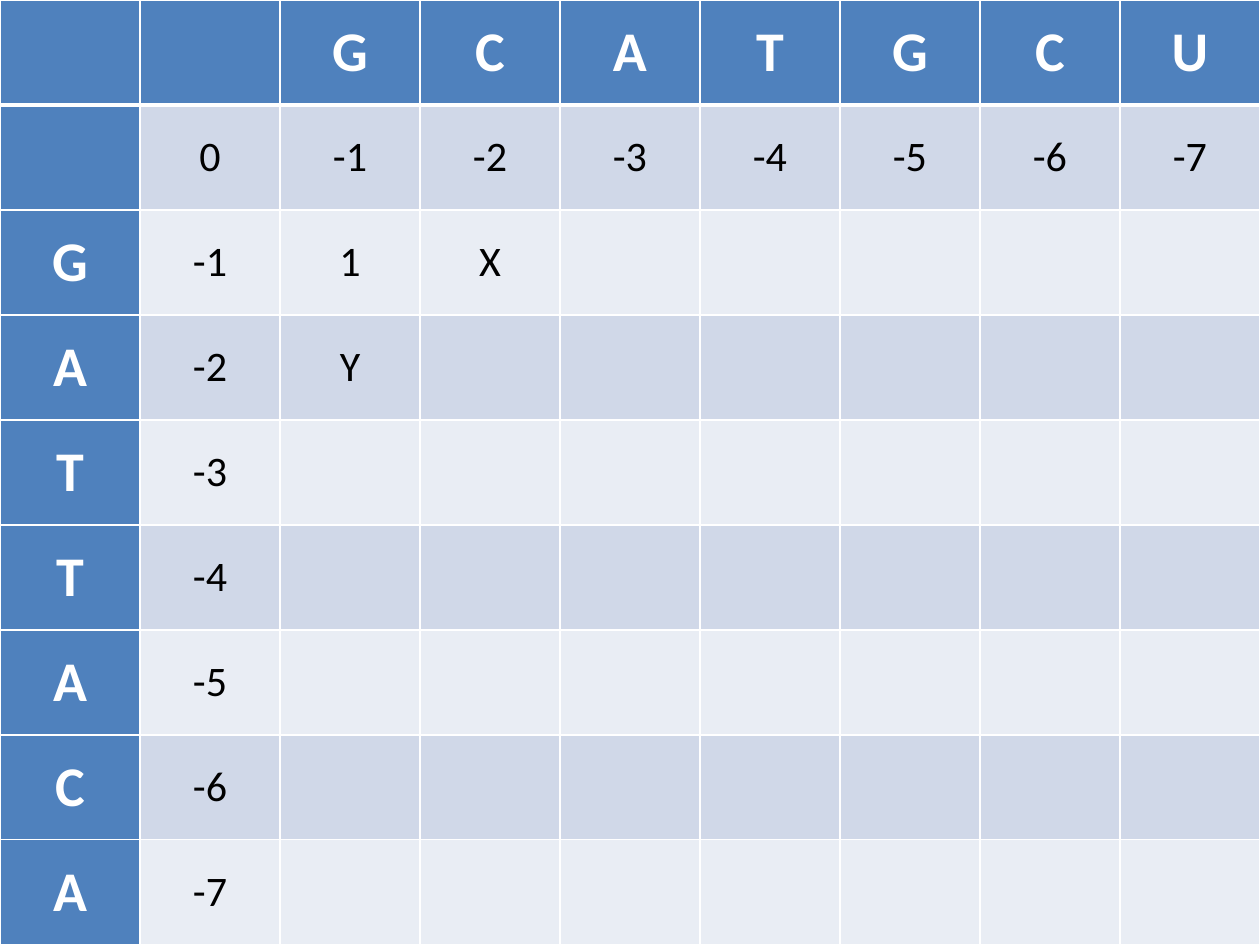
from dataclasses import dataclass

from lxml import etree
from pptx import Presentation
from pptx.dml.color import RGBColor
from pptx.enum.text import MSO_ANCHOR, PP_ALIGN
from pptx.oxml.ns import qn
from pptx.util import Pt

CENTER = PP_ALIGN.CENTER
MIDDLE = MSO_ANCHOR.MIDDLE
BLANK = 6
WIDE, HIGH = 720, 540
WHITE, BLACK = "FFFFFF", "000000"
BLUE, DARK, LIGHT = "4F81BD", "D0D8E8", "E9EDF4"
TOP, SIDE = "GCATGCU", "GATTACA"
MARKS = {(2, 2): "1", (2, 3): "X", (3, 2): "Y"}


@dataclass(frozen=True)
class Look:
    fill: str
    color: str
    size: int
    bold: bool


HEAD = Look(BLUE, WHITE, 32, True)
BANDS = [Look(LIGHT, BLACK, 24, False), Look(DARK, BLACK, 24, False)]


def rgb(code: str) -> RGBColor:
    return RGBColor.from_string(code)


def label(row: int, col: int) -> str:
    """Sequence letters on the edges, gap scores beside them, then the marks."""
    if row == 0:
        return TOP[col - 2] if col > 1 else ""
    if col == 0:
        return SIDE[row - 2] if row > 1 else ""
    if row == 1 or col == 1:
        return str(2 - row - col)
    return MARKS.get((row, col), "")


def write(cell, text: str, *, color: str, size: int, bold: bool) -> None:
    cell.vertical_anchor = MIDDLE
    para = cell.text_frame.paragraphs[0]
    para.alignment = CENTER
    if not text:
        return
    run = para.add_run()
    run.text = text
    font = run.font
    font.name = "Calibri"
    font.size = Pt(size)
    font.bold = bold
    font.color.rgb = rgb(color)


def edge(cell, row: int) -> None:
    """White borders, thicker on the line under the header row."""
    widths = {"L": 1, "R": 1, "T": 3 if row == 1 else 1, "B": 3 if row == 0 else 1}
    props = cell._tc.get_or_add_tcPr()
    for side, width in widths.items():
        line = etree.SubElement(props, qn(f"a:ln{side}"), w=str(Pt(width)))
        fill = etree.SubElement(line, qn("a:solidFill"))
        etree.SubElement(fill, qn("a:srgbClr"), val=WHITE)


def draw(cell, row: int, col: int) -> None:
    look = HEAD if row == 0 or col == 0 else BANDS[row % 2]
    edge(cell, row)
    cell.fill.solid()
    cell.fill.fore_color.rgb = rgb(look.fill)
    write(cell, label(row, col), color=look.color, size=look.size, bold=look.bold)


def main() -> None:
    deck = Presentation()
    deck.slide_width, deck.slide_height = Pt(WIDE), Pt(HIGH)
    slide = deck.slides.add_slide(deck.slide_layouts[BLANK])
    rows, cols = len(SIDE) + 2, len(TOP) + 2
    frame = slide.shapes.add_table(rows, cols, Pt(0), Pt(0), Pt(WIDE), Pt(HIGH))
    grid = frame.table
    grid.first_col = True
    for row in range(rows):
        for col in range(cols):
            draw(grid.cell(row, col), row, col)
    deck.save("out.pptx")


if __name__ == "__main__":
    main()
